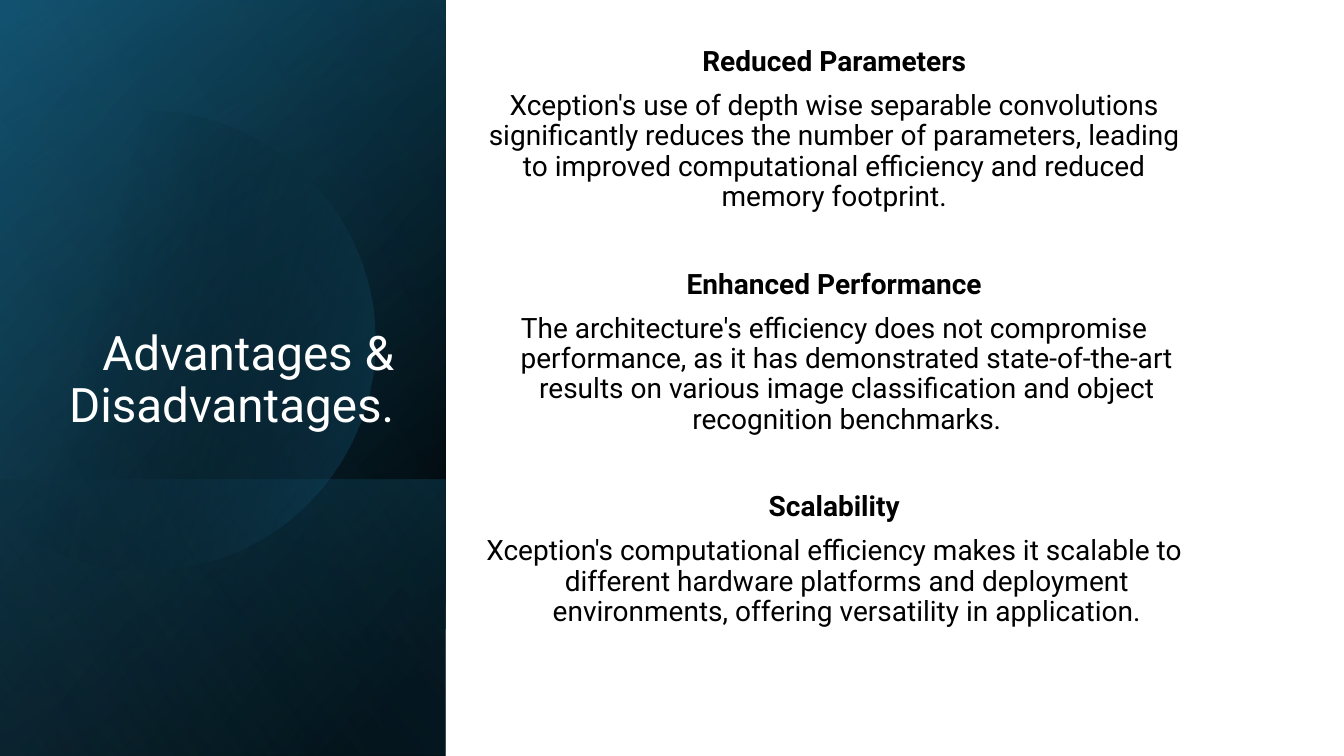
from math import acos, cos, sin

from pptx import Presentation
from pptx.dml.color import RGBColor
from pptx.enum.shapes import MSO_SHAPE
from pptx.enum.text import MSO_ANCHOR, PP_ALIGN
from pptx.oxml import parse_xml
from pptx.oxml.ns import nsdecls, qn
from pptx.util import Inches, Pt

WIDTH, HEIGHT = 13.33, 7.5
PANEL_W = 4.42
FONT = "Roboto"
BLACK = RGBColor(0x00, 0x00, 0x00)
WHITE = RGBColor(0xFF, 0xFF, 0xFF)
DEEP_TEAL = RGBColor(0x10, 0x48, 0x62)
TEAL = RGBColor(0x15, 0x60, 0x82)
SKY = RGBColor(0x46, 0xB1, 0xE1)

TITLE = "Advantages & Disadvantages."
# Heading, body, hanging indent in inches
POINTS = [
    ("Reduced Parameters",
     "Xception's use of depth wise separable convolutions significantly reduces "
     "the number of parameters, leading to improved computational efficiency "
     "and reduced memory footprint.", 0),
    ("Enhanced Performance",
     "The architecture's efficiency does not compromise performance, as it has "
     "demonstrated state-of-the-art results on various image classification "
     "and object recognition benchmarks.", 0.25),
    ("Scalability",
     "Xception's computational efficiency makes it scalable to different "
     "hardware platforms and deployment environments, offering versatility "
     "in application.", 0.25),
]


def set_gradient(sp, stops, angle):
    """Fill with (position %, colour, opacity %) stops and no outline."""
    sp.shadow.inherit = False
    sp.line.fill.background()
    sp.fill.background()
    gs = "".join(
        f'<a:gs pos="{pos * 1000}"><a:srgbClr val="{color}">'
        f'<a:alpha val="{alpha * 1000}"/></a:srgbClr></a:gs>'
        for pos, color, alpha in stops)
    grad = parse_xml(
        f'<a:gradFill {nsdecls("a")} rotWithShape="1"><a:gsLst>{gs}</a:gsLst>'
        f'<a:lin ang="{angle * 60000}" scaled="0"/></a:gradFill>')
    spPr = sp._element.spPr
    spPr.replace(spPr.find(qn("a:noFill")), grad)


def add_turned_layer(s, x, y, w, h, stops, angle):
    """Cover the given box with a mirrored rectangle turned a quarter."""
    sp = s.shapes.add_shape(
        MSO_SHAPE.RECTANGLE, Inches(x + (w - h) / 2), Inches(y + (h - w) / 2),
        Inches(h), Inches(w))
    sp.rotation = 90
    sp._element.spPr.find(qn("a:xfrm")).set("flipH", "1")
    set_gradient(sp, stops, angle)


def add_disc(s, cx, cy, radius, stops, angle):
    """Draw a circle cut off by the left edge of the slide."""
    steps = 120
    limit = acos(-cx / radius)
    turns = [limit * (2 * i / steps - 1) for i in range(steps + 1)]
    outline = [(Inches(cx + radius * cos(t)), Inches(cy + radius * sin(t)))
               for t in turns]
    builder = s.shapes.build_freeform(*outline[0])
    builder.add_line_segments(outline[1:], close=True)
    set_gradient(builder.convert_to_shape(), stops, angle)


def add_text_frame(s, x, y, w, h, anchor):
    tf = s.shapes.add_textbox(
        Inches(x), Inches(y), Inches(w), Inches(h)).text_frame
    tf.word_wrap = True
    tf.vertical_anchor = anchor
    return tf


def style(p, text, size, color, align, bold=False):
    p.text = text
    p.alignment = align
    p.line_spacing = 0.9
    p.font.name = FONT
    p.font.size = Pt(size)
    p.font.bold = bold
    p.font.color.rgb = color


def add_title_panel(s, x, y, w, h):
    # Layered gradients
    add_turned_layer(s, x, y, w, h,
                     [(8, BLACK, 100), (100, DEEP_TEAL, 100)], 50)
    add_turned_layer(s, x, y, w, h, [(0, BLACK, 0), (99, TEAL, 46)], 30)
    foot = 2.74
    add_turned_layer(s, x, y + h - foot, w, foot,
                     [(2, TEAL, 29), (100, BLACK, 30)], 130)
    add_disc(s, x + 1.44, y + 3.38, 2.28,
             [(29, BLACK, 0), (100, TEAL, 43)], 14)
    add_turned_layer(s, x, y, w, h, [(0, BLACK, 0), (99, SKY, 11)], 120)

    # Title
    tf = add_text_frame(s, x + 0.51, y + 0.64, 3.5, 3.7, MSO_ANCHOR.BOTTOM)
    style(tf.paragraphs[0], TITLE, 34, WHITE, PP_ALIGN.RIGHT)


def add_points(s, x, y, w, h):
    tf = add_text_frame(s, x, y, w, h, MSO_ANCHOR.TOP)
    for i, (heading, body, indent) in enumerate(POINTS):
        rows = [(heading, True, 41 if i else 0), (body, False, 10)]
        for text, bold, gap in rows:
            p = tf.add_paragraph() if i or not bold else tf.paragraphs[0]
            style(p, text, 20, BLACK, PP_ALIGN.CENTER, bold)
            p.space_before = Pt(gap)
            if indent:
                pPr = p._p.get_or_add_pPr()
                pPr.set("marL", str(Inches(indent)))
                pPr.set("indent", str(-Inches(indent)))


def main():
    prs = Presentation()
    prs.slide_width, prs.slide_height = Inches(WIDTH), Inches(HEIGHT)
    s = prs.slides.add_slide(prs.slide_layouts[6])
    s.background.fill.solid()
    s.background.fill.fore_color.rgb = WHITE
    add_title_panel(s, 0, 0, PANEL_W, HEIGHT)
    add_points(s, 4.69, 0.42, 7.17, 5.9)
    prs.save("out.pptx")


if __name__ == "__main__":
    main()
